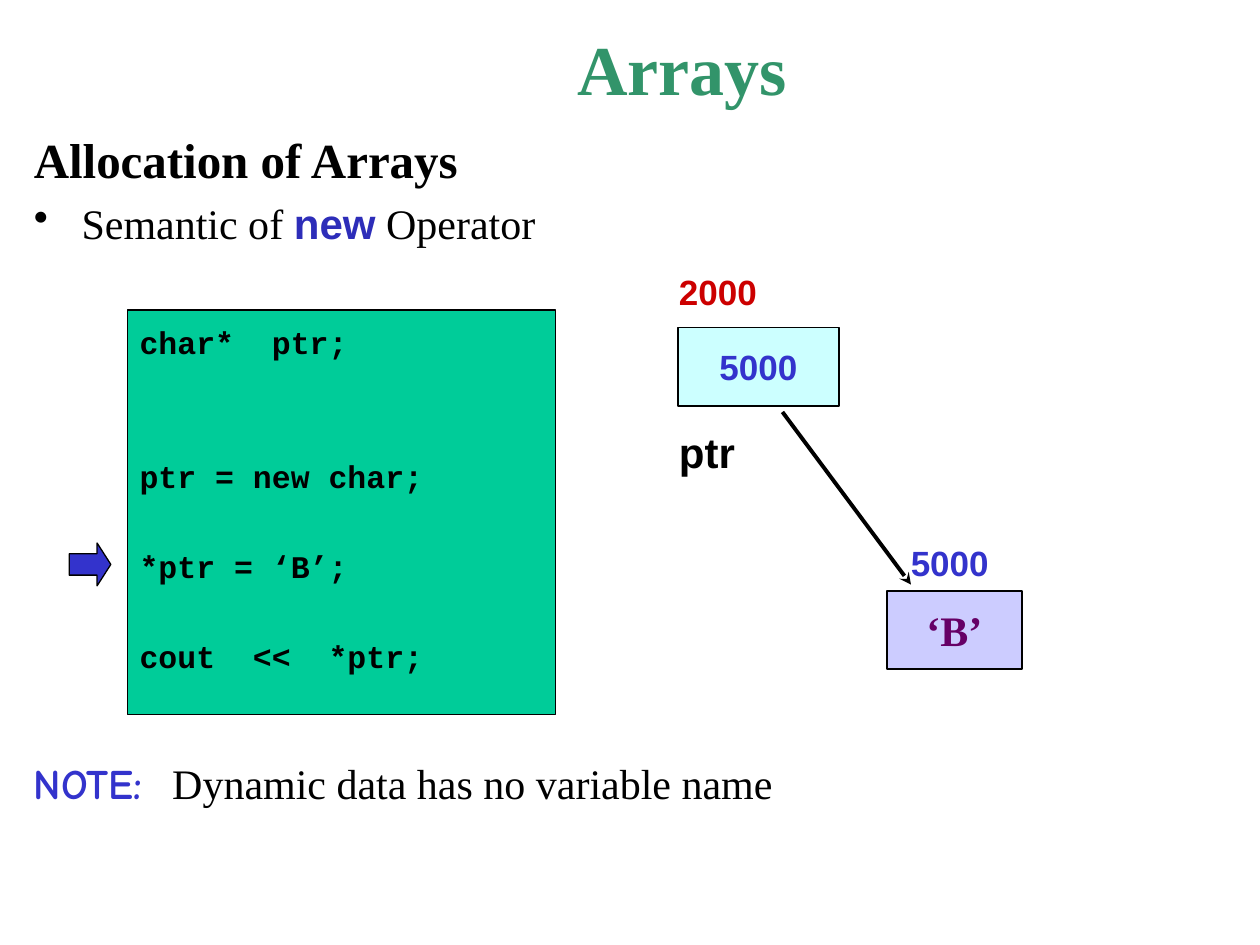
from lxml import etree
from pptx import Presentation
from pptx.dml.color import RGBColor
from pptx.enum import shapes, text
from pptx.oxml import ns
from pptx.util import Inches, Pt

BLACK = RGBColor(0x00, 0x00, 0x00)
BLUE = RGBColor(0x33, 0x33, 0xCC)
NAVY = RGBColor(0x2D, 0x2D, 0xB9)
RED = RGBColor(0xCC, 0x00, 0x00)
PURPLE = RGBColor(0x66, 0x00, 0x66)
TITLE_GREEN = RGBColor(0x32, 0x94, 0x6A)
CODE_GREEN = RGBColor(0x00, 0xCC, 0x99)
CYAN = RGBColor(0xCC, 0xFF, 0xFF)
LILAC = RGBColor(0xCC, 0xCC, 0xFF)
SERIF, SANS, MONO, COMIC = "Times New Roman", "Arial", "Courier New", "Comic Neue"

# Run: (text, font, size, colour, bold). Paragraph: (space before in points, runs)
TITLE = [(0, [("Arrays", SERIF, 40, TITLE_GREEN, True)])]
BODY = [
    (0, [("Allocation of Arrays", SERIF, 28, BLACK, True)]),
    (5, [("Semantic of ", SERIF, 24, BLACK, False),
         ("new", SANS, 24, NAVY, True),
         (" Operator", SERIF, 24, BLACK, False)]),
    (291, [("NOTE:  ", COMIC, 24, BLUE, True),
           ("Dynamic data has no variable name", SERIF, 24, BLACK, False)]),
]
BULLETED = 1
CODE = [(gap, [(line, MONO, 18, BLACK, True)]) for gap, line in [
    (0, "char*  ptr;"),
    (55, "ptr = new char;"),
    (30, "*ptr = ‘B’;"),
    (30, "cout  <<  *ptr;"),
]]
POINTER_LABELS = [
    (0, [("2000", SANS, 20, RED, True)]),
    (65, [("ptr", SANS, 24, BLACK, True)]),
]
ADDRESS = [(0, [("5000", SANS, 20, BLUE, True)])]
VALUE = [(0, [("‘B’", SERIF, 24, PURPLE, True)])]


def write(sp, paragraphs, align=text.PP_ALIGN.LEFT, anchor=text.MSO_ANCHOR.TOP, top=0.05):
    tf = sp.text_frame
    tf.word_wrap = True
    tf.vertical_anchor = anchor
    tf.margin_left = tf.margin_right = Inches(0.1)
    tf.margin_top, tf.margin_bottom = Inches(top), Inches(0.05)
    for i, (gap, runs) in enumerate(paragraphs):
        p = tf.paragraphs[0] if i == 0 else tf.add_paragraph()
        p.alignment = align
        p.space_before = Pt(gap)
        for words, font, size, colour, bold in runs:
            r = p.add_run()
            r.text = words
            r.font.name, r.font.size, r.font.bold = font, Pt(size), bold
            r.font.color.rgb = colour
    return tf


def add_text(s, box, paragraphs, **layout):
    return write(s.shapes.add_textbox(*map(Inches, box)), paragraphs, **layout)


def add_block(s, kind, box, fill, line_width):
    sp = s.shapes.add_shape(kind, *map(Inches, box))
    sp.shadow.inherit = False
    sp.fill.solid()
    sp.fill.fore_color.rgb = fill
    sp.line.color.rgb = BLACK
    sp.line.width = Pt(line_width)
    return sp


def add_bullet(p):
    pPr = p._p.get_or_add_pPr()
    pPr.set("marL", str(Inches(0.38)))
    pPr.set("indent", str(-Inches(0.38)))
    etree.SubElement(pPr, ns.qn("a:buChar")).set("char", "•")


def add_arrow(s, start, end):
    line = s.shapes.add_connector(shapes.MSO_CONNECTOR.STRAIGHT, *map(Inches, start + end))
    line.line.color.rgb = BLACK
    line.line.width = Pt(2.25)
    etree.SubElement(line.line._get_or_add_ln(), ns.qn("a:tailEnd")).set("type", "stealth")
    etree.SubElement(line._element.spPr, ns.qn("a:effectLst"))


def main():
    prs = Presentation()
    prs.slide_width, prs.slide_height = Inches(10), Inches(7.5)
    s = prs.slides.add_slide(prs.slide_layouts[5])
    centred = {"align": text.PP_ALIGN.CENTER, "anchor": text.MSO_ANCHOR.MIDDLE}
    rect = shapes.MSO_SHAPE.RECTANGLE

    title = s.shapes.title
    title.left, title.top, title.width, title.height = map(Inches, (1.58, 0.17, 7.67, 0.75))
    write(title, TITLE, align=text.PP_ALIGN.CENTER, anchor=text.MSO_ANCHOR.BOTTOM)

    body = add_text(s, (0.17, 0.92, 9.67, 6.42), BODY, top=0.11)
    add_bullet(body.paragraphs[BULLETED])

    write(add_block(s, rect, (1.01, 2.46, 3.4, 3.21), CODE_GREEN, 0.75), CODE, top=0.1)
    step = add_block(s, shapes.MSO_SHAPE.RIGHT_ARROW, (0.55, 4.31, 0.33, 0.34), BLUE, 0.75)
    step.adjustments[0], step.adjustments[1] = 0.5, 0.33

    write(add_block(s, rect, (5.38, 2.6, 1.28, 0.62), CYAN, 1), ADDRESS, **centred)
    write(add_block(s, rect, (7.04, 4.69, 1.07, 0.62), LILAC, 1), VALUE, **centred)
    add_arrow(s, (6.21, 3.27), (7.23, 4.64))
    add_text(s, (5.29, 2.1, 3.75, 1.75), POINTER_LABELS)
    add_text(s, (7.13, 4.25, 0.82, 0.43), ADDRESS)

    prs.save("out.pptx")


if __name__ == "__main__":
    main()
